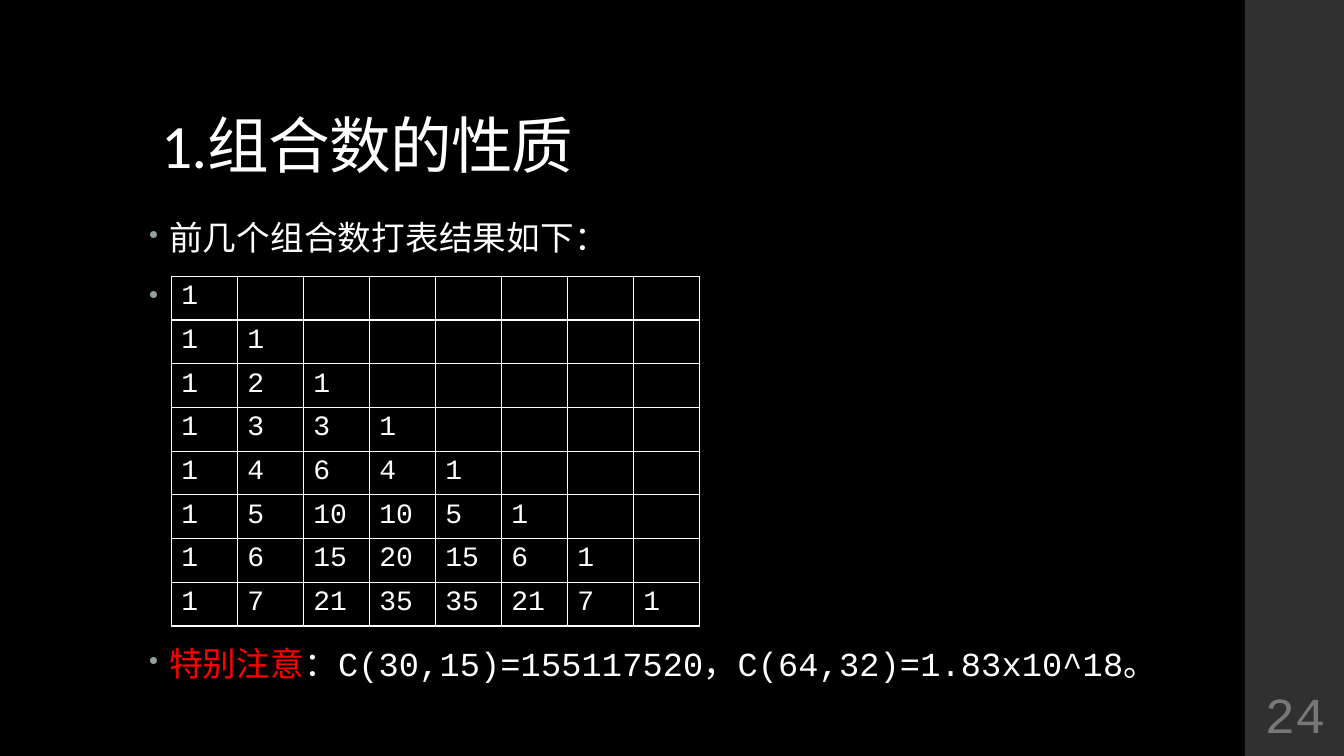
from dataclasses import dataclass
from math import comb

from pptx import Presentation
from pptx.dml.color import RGBColor as RGB
from pptx.enum.lang import MSO_LANGUAGE_ID as Lang
from pptx.enum.shapes import MSO_SHAPE as Shape
from pptx.enum.text import MSO_ANCHOR as Anchor, PP_ALIGN as Align
from pptx.oxml import parse_xml
from pptx.oxml.ns import nsdecls
from pptx.util import Pt


@dataclass(frozen=True)
class Theme:
    back: str = "000000"
    band: str = "303030"
    ink: str = "FFFFFF"
    alert: str = "FF0000"
    bullet: str = "93A299"
    faint: str = "777777"
    head: str = "Calibri"
    mono: str = "Courier New"
    title: int = 44
    body: int = 24
    cell: int = 20
    number: int = 36


class Deck:
    def __init__(self, theme):
        self.theme = theme
        self.show = Presentation()
        self.show.slide_width, self.show.slide_height = Pt(960), Pt(540)
        self.slide = self.show.slides.add_slide(self.show.slide_layouts[6])
        self.paint(self.slide.background.fill, theme.back)

    def paint(self, fill, color):
        fill.solid()
        fill.fore_color.rgb = RGB.from_string(color)

    def style(self, para, size, face=None, color=None, track=0):
        """Set the font of a paragraph; track is letter spacing in 1/100 pt."""
        font = para.font
        font.size, font.name = Pt(size), face or self.theme.mono
        font.color.rgb = RGB.from_string(color or self.theme.ink)
        font.language_id = Lang.SIMPLIFIED_CHINESE
        if track:
            para._p.pPr.defRPr.set("spc", str(track))

    def band(self, *box):
        band = self.slide.shapes.add_shape(Shape.RECTANGLE, *map(Pt, box))
        band.shadow.inherit = False
        band.line.fill.background()
        self.paint(band.fill, self.theme.band)

    def frame(self, *box, anchor=Anchor.TOP):
        frame = self.slide.shapes.add_textbox(*map(Pt, box)).text_frame
        frame.word_wrap = True
        frame.vertical_anchor = anchor
        return frame

    def title(self, text, *box):
        para = self.frame(*box, anchor=Anchor.BOTTOM).paragraphs[0]
        para.text, para.line_spacing = text, 0.9
        self.style(para, self.theme.title, self.theme.head, track=-50)

    def number(self, text, *box):
        frame = self.frame(*box, anchor=Anchor.MIDDLE)
        frame.margin_left = frame.margin_right = Pt(3.6)
        frame.margin_top = frame.margin_bottom = Pt(3.6)
        para = frame.paragraphs[0]
        para.text, para.alignment = text, Align.CENTER
        self.style(para, self.theme.number, color=self.theme.faint)

    def bullets(self, items, *box):
        """Add bulleted items, each a space before and (text, color) runs."""
        frame = self.frame(*box)
        for i, (before, runs) in enumerate(items):
            para = frame.add_paragraph() if i else frame.paragraphs[0]
            props = para._p.get_or_add_pPr()
            props.set("marL", str(Pt(14.4)))
            props.set("indent", str(-Pt(14.4)))
            for part in (
                f'<a:buClr {nsdecls("a")}><a:srgbClr val="{self.theme.bullet}"/></a:buClr>',
                f'<a:buSzPct {nsdecls("a")} val="80000"/>',
                f'<a:buChar {nsdecls("a")} char="•"/>',
            ):
                props.append(parse_xml(part))
            para.line_spacing = 0.95
            para.space_before, para.space_after = Pt(before), Pt(2)
            self.style(para, self.theme.body, track=10)
            for text, color in runs:
                run = para.add_run()
                run.text = text
                if color:
                    run.font.color.rgb = RGB.from_string(color)

    def border(self, cell):
        props = cell._tc.get_or_add_tcPr()
        for i, side in enumerate("LRTB"):
            props.insert(i, parse_xml(
                f'<a:ln{side} {nsdecls("a")} w="{Pt(1)}"><a:solidFill>'
                f'<a:srgbClr val="{self.theme.ink}"/></a:solidFill></a:ln{side}>'))

    def pascal(self, count, left, top, wide, high):
        """Add a table of the binomial coefficients of the first count rows."""
        table = self.slide.shapes.add_table(
            count, count, Pt(left), Pt(top), Pt(wide * count), Pt(high * count)).table
        table.first_row = table.horz_banding = False
        for n in range(count):
            table.columns[n].width, table.rows[n].height = Pt(wide), Pt(high)
            for k in range(count):
                cell = table.cell(n, k)
                cell.fill.background()
                self.border(cell)
                if k <= n:
                    cell.text = str(comb(n, k))
                    self.style(cell.text_frame.paragraphs[0], self.theme.cell)


def main():
    theme = Theme()
    deck = Deck(theme)
    deck.band(889.2, 0, 72, 540)
    deck.title("1.组合数的性质", 108, 28.8, 745.2, 104.4)
    deck.bullets([
        (14, [("前几个组合数打表结果如下：", None)]),
        (14, [(" ", None)]),
        (232, [("特别注意", theme.alert),
               ("：C(30,15)=155117520，C(64,32)=1.83x10^18。", None)]),
    ], 99.4, 153.4, 763.2, 342.7)
    deck.number("24", 889.2, 486, 72, 46.8)
    deck.pascal(8, 122.4, 197.3, 47.16, 30.2)
    deck.show.save("out.pptx")


if __name__ == "__main__":
    main()
